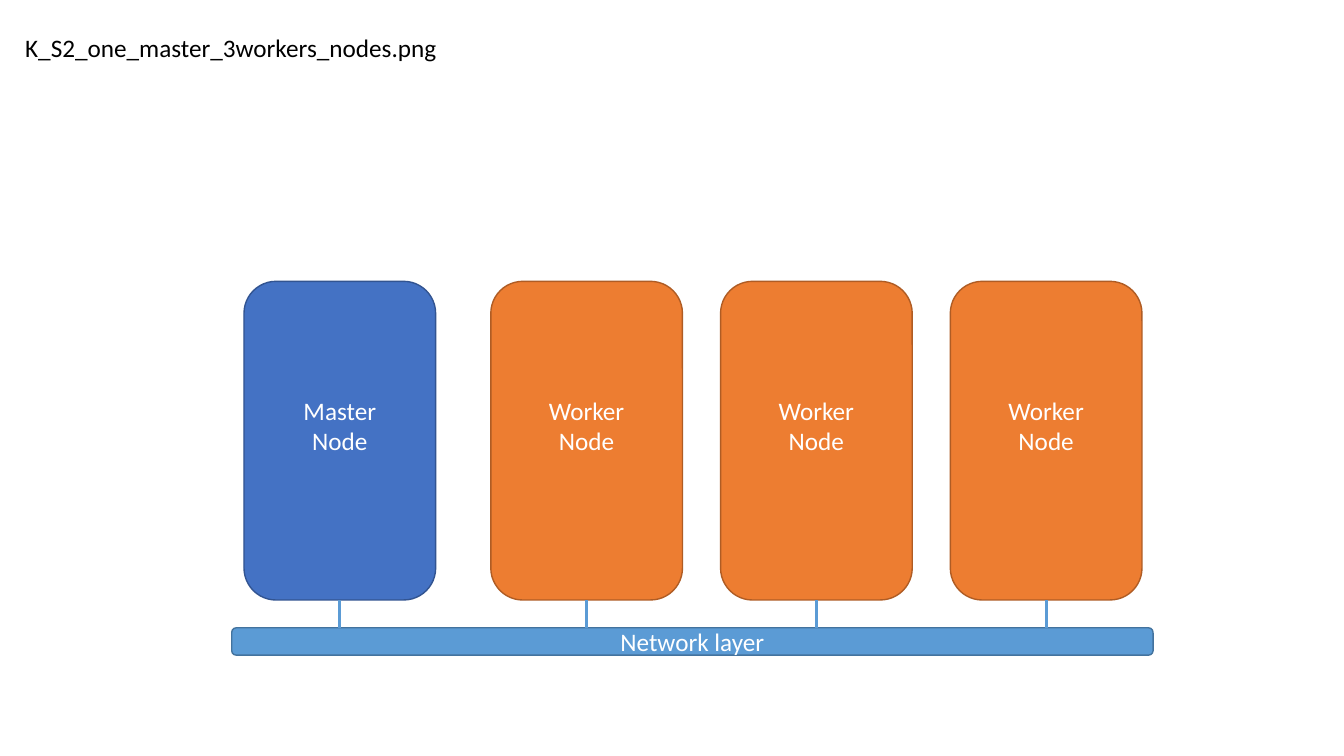
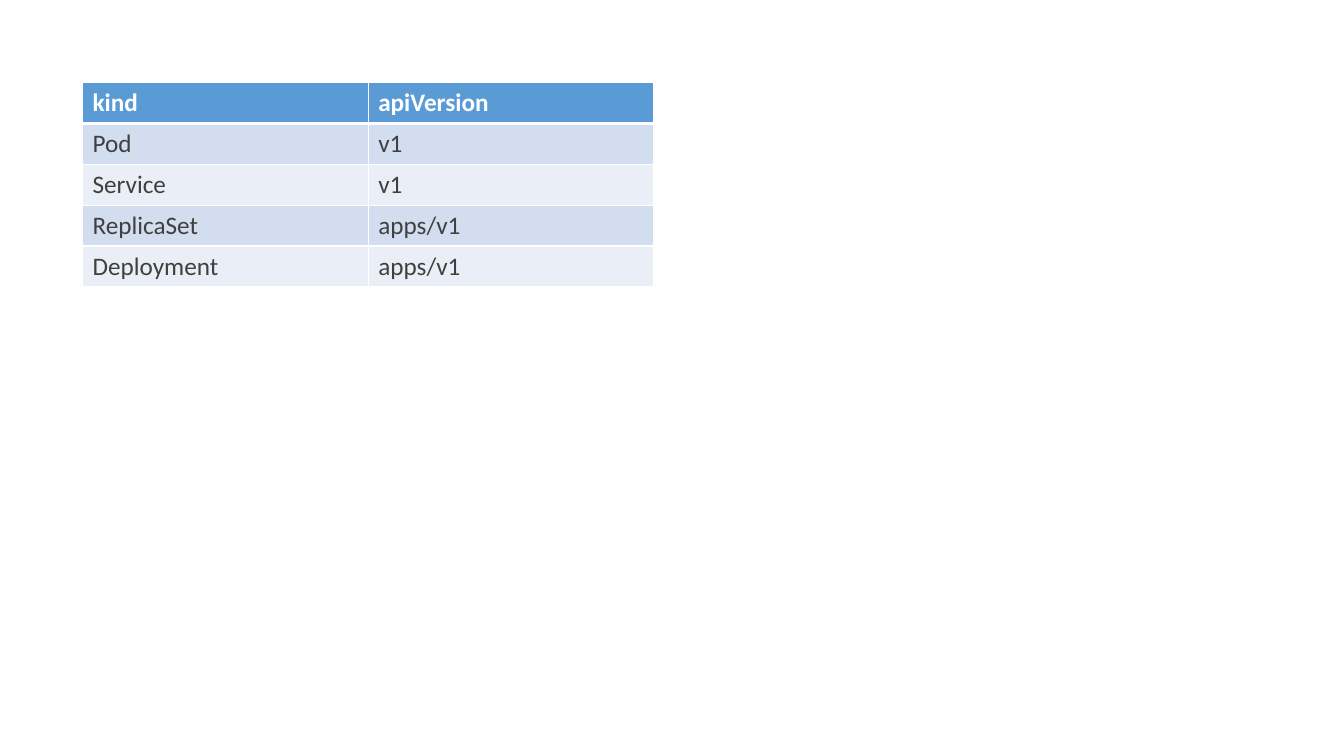
from lxml import etree
from pptx import Presentation
from pptx import util as u
from pptx.dml.color import RGBColor
from pptx.enum import shapes, text
from pptx.oxml import ns

FONT = "Calibri"
FONT_SIZE = u.Pt(18)
COLORS = {
    "white": "FFFFFF",
    "black": "000000",
    "body": "404040",
    "master": "4472C4",
    "master_edge": "325491",
    "worker": "ED7D31",
    "worker_edge": "AF5C24",
    "network": "5B9BD5",
    "network_edge": "43739E",
    "band_dark": "D2DEEF",
    "band_light": "EAEFF7",
}
TITLE_ONLY, BLANK = 5, 6


def rgb(name):
    return RGBColor.from_string(COLORS[name])


def format_text(frame, color, alignment=text.PP_ALIGN.LEFT, bold=False):
    for paragraph in frame.paragraphs:
        paragraph.alignment = alignment
        for run in paragraph.runs:
            run.font.name = FONT
            run.font.size = FONT_SIZE
            run.font.bold = bold
            run.font.color.rgb = rgb(color)


def add_title(slide, wording, left, top, width, height):
    title = slide.shapes.title
    title.left, title.top, title.width, title.height = left, top, width, height
    frame = title.text_frame
    frame.text = wording
    frame.auto_size = text.MSO_AUTO_SIZE.NONE
    frame.vertical_anchor = text.MSO_ANCHOR.TOP
    format_text(frame, "black")


def add_rounded_box(slide, wording, color, left, top, width, height):
    box = slide.shapes.add_shape(
        shapes.MSO_SHAPE.ROUNDED_RECTANGLE, left, top, width, height)
    box.shadow.inherit = False
    box.fill.solid()
    box.fill.fore_color.rgb = rgb(color)
    box.line.color.rgb = rgb(color + "_edge")
    box.line.width = u.Pt(1)
    box.text_frame.text = wording
    box.text_frame.vertical_anchor = text.MSO_ANCHOR.MIDDLE
    format_text(box.text_frame, "white", text.PP_ALIGN.CENTER)
    return box


def add_link(slide, node, bar):
    """Join the bottom of a node to the top of the network bar."""
    center = node.left + node.width // 2
    link = slide.shapes.add_connector(
        shapes.MSO_CONNECTOR.STRAIGHT,
        center, node.top + node.height, center, bar.top)
    link.begin_connect(node, 2)
    link.line.color.rgb = rgb("network")
    link.line.width = u.Pt(2.25)
    etree.SubElement(link._element.spPr, ns.qn("a:effectLst"))


def add_cluster(slide, left, top, width, worker_count):
    """Draw the master, its workers and the network bar below them."""
    node_width, node_height = u.Cm(4.83), u.Cm(8.03)
    first_worker, worker_step = left + u.Cm(6.53), u.Cm(5.79)

    nodes = [("Master\nNode", "master", left + u.Cm(0.31))]
    nodes += [("Worker\nNode", "worker", first_worker + i * worker_step)
              for i in range(worker_count)]

    bar = add_rounded_box(slide, "Network layer", "network", left,
                          top + node_height + u.Cm(0.7), width, u.Cm(0.69))
    for wording, color, node_left in nodes:
        node = add_rounded_box(slide, wording, color, node_left, top,
                               node_width, node_height)
        # A deep bottom inset lifts the label above the middle.
        node.text_frame.margin_bottom = u.Cm(0.9)
        add_link(slide, node, bar)


def set_borders(cell, bottom_width):
    properties = cell._tc.get_or_add_tcPr()
    widths = {"lnL": 1, "lnR": 1, "lnT": 1, "lnB": bottom_width}
    for position, (side, width) in enumerate(widths.items()):
        border = etree.Element(ns.qn("a:" + side), w=str(u.Pt(width)))
        fill = etree.SubElement(border, ns.qn("a:solidFill"))
        etree.SubElement(fill, ns.qn("a:srgbClr"), val=COLORS["white"])
        properties.insert(position, border)


def add_version_table(slide, rows, left, top, width, row_height):
    table = slide.shapes.add_table(
        len(rows), len(rows[0]), left, top, width,
        row_height * len(rows)).table
    for row_index, row in enumerate(rows):
        header = row_index == 0
        band = "band_dark" if row_index % 2 else "band_light"
        for column_index, wording in enumerate(row):
            cell = table.cell(row_index, column_index)
            cell.text_frame.text = wording
            format_text(cell.text_frame, "white" if header else "body",
                        bold=header)
            cell.fill.solid()
            cell.fill.fore_color.rgb = rgb("network" if header else band)
            set_borders(cell, 3 if header else 1)
    # The first body row meets the header's thick line.
    for cell in table.rows[1].cells:
        cell._tc.tcPr.find(ns.qn("a:lnT")).set("w", str(u.Pt(3)))


def build_cluster_slide(presentation):
    slide = presentation.slides.add_slide(
        presentation.slide_layouts[TITLE_ONLY])
    add_title(slide, "K_S2_one_master_3workers_nodes.png",
              u.Cm(0.38), u.Cm(0.69), u.Cm(22.05), u.Cm(1.03))
    add_cluster(slide, u.Cm(5.84), u.Cm(7.09), u.Cm(23.22), worker_count=3)


def build_version_slide(presentation):
    slide = presentation.slides.add_slide(presentation.slide_layouts[BLANK])
    rows = [
        ("kind", "apiVersion"),
        ("Pod", "v1"),
        ("Service", "v1"),
        ("ReplicaSet", "apps/v1"),
        ("Deployment", "apps/v1"),
    ]
    add_version_table(slide, rows, u.Cm(2.08), u.Cm(2.08),
                      u.Cm(14.4), u.Cm(1.02))


def main():
    presentation = Presentation()
    presentation.slide_width = u.Cm(33.87)
    presentation.slide_height = u.Cm(19.05)
    build_cluster_slide(presentation)
    build_version_slide(presentation)
    presentation.save("out.pptx")


if __name__ == "__main__":
    main()
